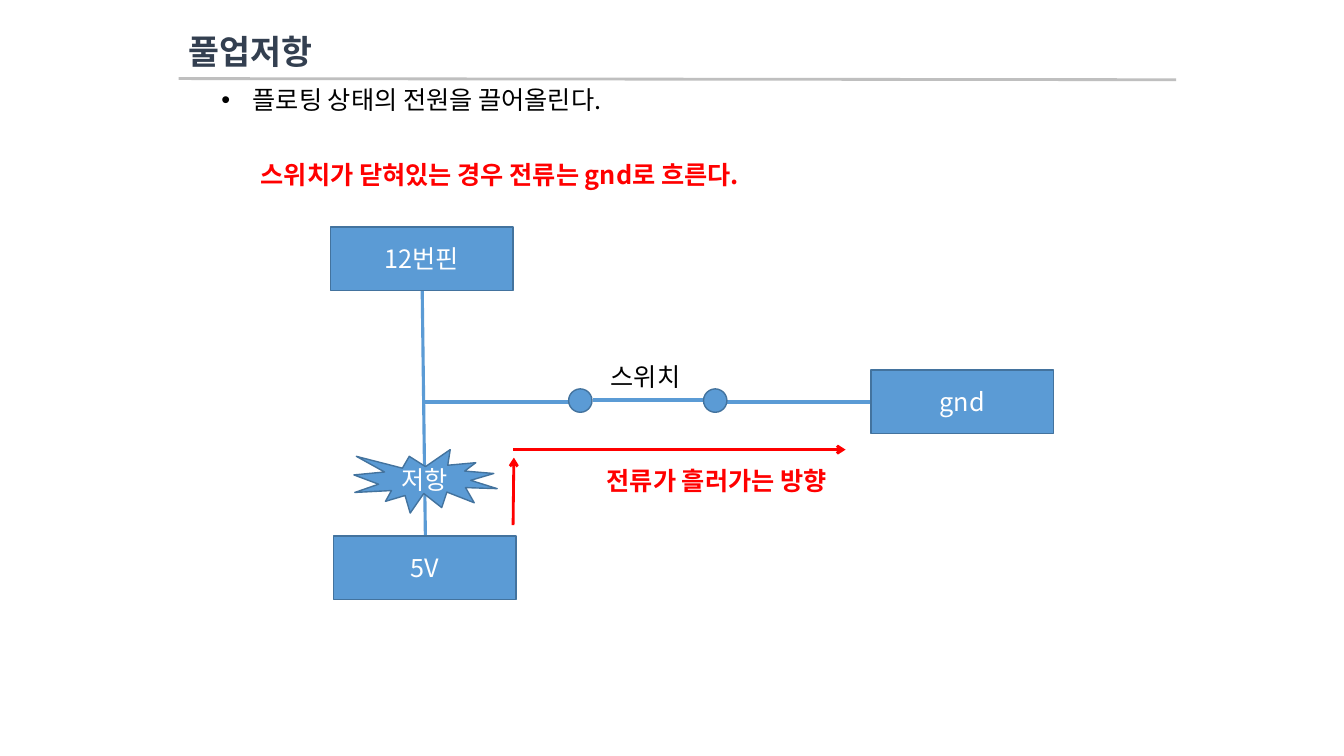
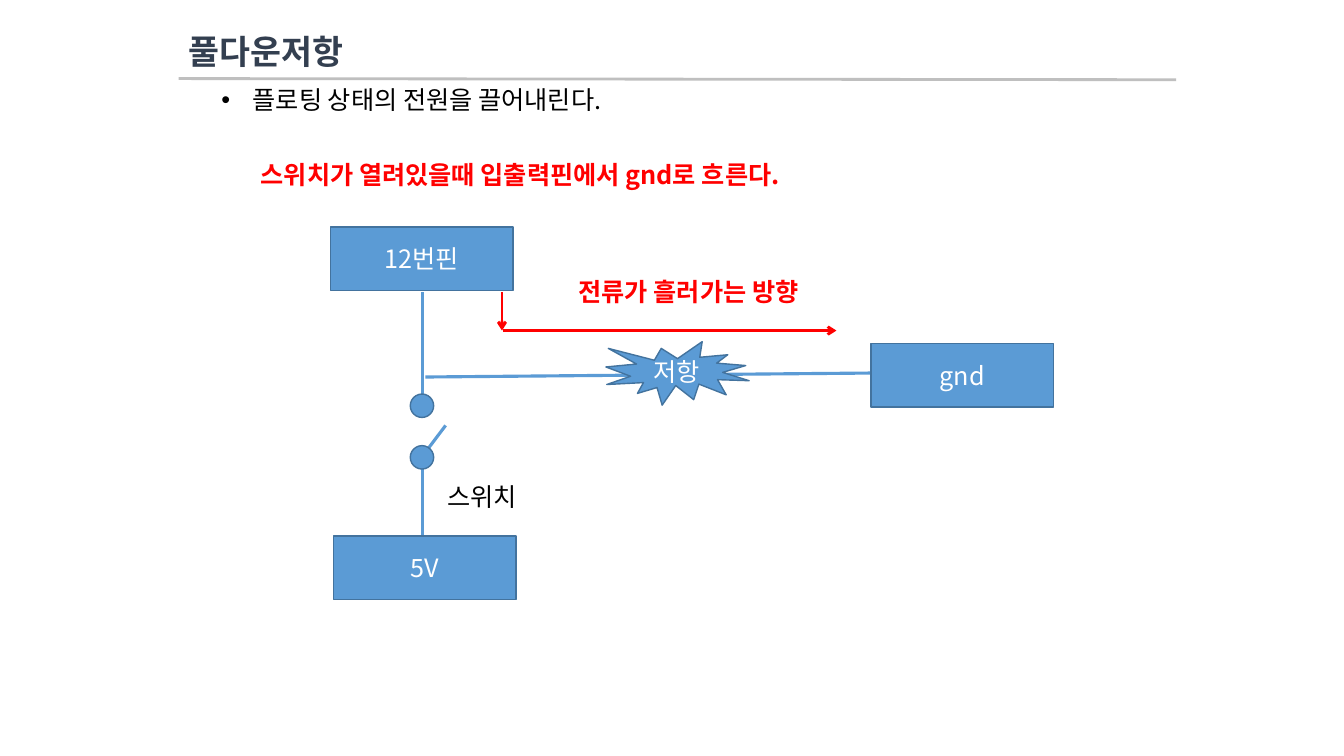
from pptx import Presentation
from pptx.dml.color import RGBColor
from pptx.enum.shapes import MSO_CONNECTOR, MSO_SHAPE
from pptx.enum.text import MSO_ANCHOR, PP_ALIGN
from pptx.oxml.ns import qn
from pptx.util import Cm, Pt
from lxml.etree import SubElement

FONT = "Noto Sans CJK KR"
COLORS = {
    "title": "333F50",
    "rule": "BFBFBF",
    "text": "000000",
    "current": "FF0000",
    "part": "5B9BD5",
    "edge": "43739E",
    "label": "FFFFFF",
}
BOX, SEAL, DOT = (4.6, 1.6), (3.61, 1.6), (0.59, 0.59)

circuits = [
    {
        "title": "풀업저항",
        "summary": "플로팅 상태의 전원을 끌어올린다.",
        "case": "스위치가 닫혀있는 경우 전류는 gnd로 흐른다.",
        "gnd": (21.95, 9.32),
        "wires": [
            (10.64, 7.32, 10.72, 13.51),
            (10.72, 10.13, 14.33, 10.13),
            (18.31, 10.13, 21.95, 10.13),
            (14.94, 10.08, 18.31, 10.08),
        ],
        "contacts": [(14.33, 9.8), (17.73, 9.8)],
        "resistor": (8.92, 11.33),
        "switch": (15.14, 8.97),
        "flow": (15.04, 11.61),
        "arrows": [(12.93, 11.33, 21.31, 11.33), (12.93, 13.23, 12.95, 11.53)],
    },
    {
        "title": "풀다운저항",
        "summary": "플로팅 상태의 전원을 끌어내린다.",
        "case": "스위치가 열려있을때 입출력핀에서 gnd로 흐른다.",
        "gnd": (21.95, 8.66),
        "wires": [
            (10.72, 9.5, 21.95, 9.4),
            (10.64, 13.51, 10.64, 11.53),
            (10.64, 7.37, 10.64, 9.93),
            (10.62, 11.53, 11.23, 10.72),
        ],
        "contacts": [(10.34, 11.23), (10.34, 9.93)],
        "resistor": (15.27, 8.61),
        "switch": (11.02, 12.01),
        "flow": (14.33, 6.83),
        "arrows": [(12.67, 8.33, 21.08, 8.33), (12.65, 7.37, 12.65, 8.33)],
    },
]


def write(shape, text, color, size=18, bold=False):
    shape.text_frame.word_wrap = True
    paragraph = shape.text_frame.paragraphs[0]
    paragraph.text = text
    font = paragraph.font
    font.name, font.size, font.bold = FONT, Pt(size), bold
    font.color.rgb = RGBColor.from_string(COLORS[color])
    SubElement(paragraph._p.pPr.find(qn("a:defRPr")), qn("a:ea"), typeface=FONT)
    return paragraph


def connect(slide, ends, color, width, arrow=False):
    line = slide.shapes.add_connector(MSO_CONNECTOR.STRAIGHT, *map(Cm, ends))
    line.line.color.rgb = RGBColor.from_string(COLORS[color])
    line.line.width = Pt(width)
    if arrow:
        SubElement(line.line._get_or_add_ln(), qn("a:tailEnd"), type="arrow")
    SubElement(line._element.spPr, qn("a:effectLst"))


deck = Presentation()
deck.slide_width, deck.slide_height = Cm(33.87), Cm(19.05)

for circuit in circuits:
    slide = deck.slides.add_slide(deck.slide_layouts[6])

    title = slide.shapes.add_textbox(Cm(4.5), Cm(0.33), Cm(22.86), Cm(2.03))
    title.text_frame.vertical_anchor = MSO_ANCHOR.MIDDLE
    write(title, circuit["title"], "title", 24, True).line_spacing = 0.9
    connect(slide, (4.5, 1.98, 29.64, 2.01), "rule", 2)

    summary = slide.shapes.add_textbox(Cm(5.33), Cm(2.01), Cm(23.19), Cm(1.02))
    bullet = write(summary, circuit["summary"], "text")._p.pPr
    bullet.set("marL", str(Cm(0.79)))
    bullet.set("indent", str(Cm(-0.79)))
    defaults = bullet.find(qn("a:defRPr"))
    for tag, value in (("a:buFont", {"typeface": "Arial"}), ("a:buChar", {"char": "•"})):
        defaults.addprevious(SubElement(bullet, qn(tag), value))

    for text, place, width, color, bold in (
        (circuit["case"], (6.32, 3.89), 17.2, "current", True),
        ("스위치", circuit["switch"], 3.99, "text", False),
        ("전류가 흘러가는 방향", circuit["flow"], 6.73, "current", True),
    ):
        caption = slide.shapes.add_textbox(*map(Cm, place), Cm(width), Cm(1.02))
        write(caption, text, color, bold=bold)

    for wire in circuit["wires"]:
        connect(slide, wire, "part", 2.25)

    parts = [
        (MSO_SHAPE.RECTANGLE, (8.33, 5.72), BOX, "12번핀"),
        (MSO_SHAPE.RECTANGLE, (8.41, 13.51), BOX, "5V"),
        (MSO_SHAPE.RECTANGLE, circuit["gnd"], BOX, "gnd"),
        (MSO_SHAPE.EXPLOSION1, circuit["resistor"], SEAL, "저항"),
    ]
    parts += [(MSO_SHAPE.OVAL, place, DOT, "") for place in circuit["contacts"]]
    for kind, place, size, label in parts:
        part = slide.shapes.add_shape(kind, *map(Cm, place + size))
        part.shadow.inherit = False
        part.fill.solid()
        part.fill.fore_color.rgb = RGBColor.from_string(COLORS["part"])
        part.line.color.rgb = RGBColor.from_string(COLORS["edge"])
        part.line.width = Pt(1)
        if label:
            part.text_frame.vertical_anchor = MSO_ANCHOR.MIDDLE
            write(part, label, "label").alignment = PP_ALIGN.CENTER

    for arrow in circuit["arrows"]:
        connect(slide, arrow, "current", 2, True)

deck.save("out.pptx")
